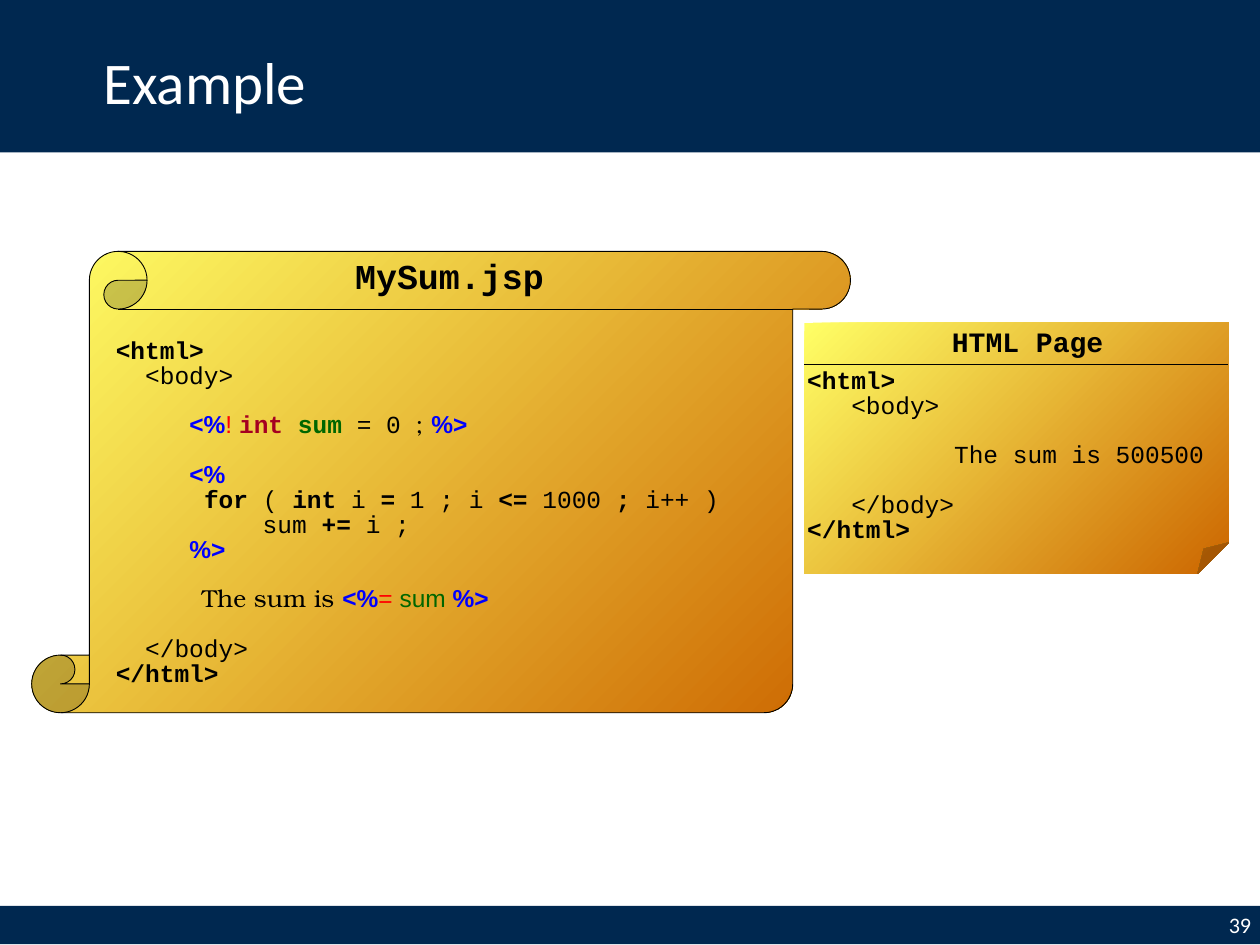
from pptx import Presentation
from pptx.dml.color import RGBColor
from pptx.enum.shapes import MSO_CONNECTOR, MSO_SHAPE
from pptx.enum.text import MSO_ANCHOR, PP_ALIGN
from pptx.oxml.ns import qn
from pptx.util import Cm, Pt
from lxml import etree

RECTANGLE = MSO_SHAPE.RECTANGLE
SCROLL = MSO_SHAPE.VERTICAL_SCROLL
NOTE = MSO_SHAPE.FOLDED_CORNER
STRAIGHT = MSO_CONNECTOR.STRAIGHT
TOP, MIDDLE = MSO_ANCHOR.TOP, MSO_ANCHOR.MIDDLE
LEFT, CENTER, RIGHT = PP_ALIGN.LEFT, PP_ALIGN.CENTER, PP_ALIGN.RIGHT

NAVY = RGBColor(0x00, 0x28, 0x50)
WHITE = RGBColor(0xFF, 0xFF, 0xFF)
BLACK = RGBColor(0x00, 0x00, 0x00)
YELLOW = RGBColor(0xFF, 0xFF, 0x66)
ORANGE = RGBColor(0xCC, 0x66, 0x00)
BLUE = RGBColor(0x00, 0x00, 0xFF)
RED = RGBColor(0xFF, 0x00, 0x00)
CRIMSON = RGBColor(0xA5, 0x00, 0x21)
GREEN = RGBColor(0x00, 0x66, 0x00)

SANS, MONO, SERIF, TITLE = "Arial", "Courier New", "TeX Gyre Bonum", "Calibri"
SLIDE_WIDTH, SLIDE_HEIGHT = 36.12, 27.1
CODE_SIZE = 19.9
CODE_SPACING = 0.85
CODE_GAP = 20  # height of one skipped code line, in points

# Run formats for the code
BOLD = {"bold": True}
TAG = {"font": SANS, "color": BLUE, "bold": True}
MARK = {"font": SANS, "color": RED}
OPEN, CLOSE = ("<%", TAG), ("%>", TAG)

# Code lines: (follows a gap, runs); a run is plain text or (text, format)
JSP_CODE = [
    (False, [("<html>", BOLD)]),
    (False, ["  <body>"]),
    (True, ["     ", OPEN, ("! ", MARK),
            ("int ", {"color": CRIMSON, "bold": True}),
            ("sum ", {"color": GREEN, "bold": True}),
            "= 0 ", ("; ", {"font": SERIF}), CLOSE]),
    (True, ["     ", OPEN]),
    (False, ["      ", ("for ", BOLD), "(", (" int", BOLD), " i ", ("=", BOLD),
             " 1 ; i ", ("<=", BOLD), " 1000 ", (";", BOLD), " i++ )"]),
    (False, ["          sum ", ("+=", BOLD), " i ;"]),
    (False, ["     ", CLOSE]),
    (True, [("           The sum is ", {"font": SERIF}), OPEN, ("= ", MARK),
            ("sum ", {"font": SANS, "color": GREEN}), CLOSE]),
    (True, ["  </body>"]),
    (False, [("</html>", BOLD)]),
]
HTML_CODE = [
    (False, [("<html>", BOLD)]),
    (False, ["   <body>"]),
    (True, ["          The sum is 500500"]),
    (True, ["   </body>"]),
    (False, [("</html>", BOLD)]),
]


def add_run(paragraph, text, font=MONO, size=CODE_SIZE, color=BLACK, bold=False):
    run = paragraph.add_run()
    run.text = text
    run.font.name = font
    run.font.size = Pt(size)
    run.font.color.rgb = color
    run.font.bold = bold


def add_text_box(slide, left, top, width, height, anchor=TOP):
    box = slide.shapes.add_textbox(Cm(left), Cm(top), Cm(width), Cm(height))
    box.text_frame.word_wrap = True
    box.text_frame.vertical_anchor = anchor
    return box.text_frame


def write_line(frame, text, align=LEFT, spacing=1.0, **font_format):
    paragraph = frame.paragraphs[0]
    paragraph.alignment = align
    paragraph.line_spacing = spacing
    add_run(paragraph, text, **font_format)


def add_code(slide, left, top, width, height, lines):
    frame = add_text_box(slide, left, top, width, height)
    for index, (after_gap, runs) in enumerate(lines):
        paragraph = frame.add_paragraph() if index else frame.paragraphs[0]
        paragraph.line_spacing = CODE_SPACING
        if after_gap:
            paragraph.space_before = Pt(CODE_GAP)
        for run in runs:
            text, run_format = (run, {}) if isinstance(run, str) else run
            add_run(paragraph, text, **run_format)


def add_band(slide, top, height):
    band = slide.shapes.add_shape(RECTANGLE, 0, Cm(top), Cm(SLIDE_WIDTH), Cm(height))
    band.shadow.inherit = False
    band.fill.solid()
    band.fill.fore_color.rgb = NAVY
    band.line.fill.background()
    return band.text_frame


def set_curl(paper):
    """Make the curl or fold one eighth of the shorter side."""
    guides = paper._element.spPr.find(qn("a:prstGeom")).find(qn("a:avLst"))
    for guide in list(guides):
        guides.remove(guide)
    etree.SubElement(guides, qn("a:gd"), name="adj", fmla="val 12500")


def add_paper(slide, kind, left, top, width, height, outlined):
    paper = slide.shapes.add_shape(kind, Cm(left), Cm(top), Cm(width), Cm(height))
    paper.shadow.inherit = False
    set_curl(paper)
    paper.fill.gradient()
    paper.fill.gradient_angle = 315
    for stop, color in zip(paper.fill.gradient_stops, (YELLOW, ORANGE)):
        stop.color.rgb = color
    if outlined:
        paper.line.color.rgb = BLACK
        paper.line.width = Pt(0.75)
    else:
        paper.line.fill.background()


def add_rule(slide, left, right, top):
    rule = slide.shapes.add_connector(STRAIGHT, Cm(left), Cm(top), Cm(right), Cm(top))
    rule.line.color.rgb = BLACK
    rule.line.width = Pt(1)
    etree.SubElement(rule._element.spPr, qn("a:effectLst"))


def main():
    presentation = Presentation()
    presentation.slide_width = Cm(SLIDE_WIDTH)
    presentation.slide_height = Cm(SLIDE_HEIGHT)
    slide = presentation.slides.add_slide(presentation.slide_layouts[6])

    # Header and footer bands
    add_band(slide, 0, 4.37)
    footer = add_band(slide, 25.98, 1.1)
    footer.vertical_anchor = MIDDLE
    write_line(footer, "39", align=RIGHT, font=TITLE, size=18, color=WHITE)
    title = add_text_box(slide, 2.72, 0.43, 30.71, 4.01, anchor=MIDDLE)
    write_line(title, "Example", spacing=0.9, font=TITLE, size=48, color=WHITE)

    # JSP source on the scroll
    add_paper(slide, SCROLL, 0.91, 7.21, 23.47, 13.23, outlined=True)
    heading = add_text_box(slide, 9.93, 7.19, 6.32, 1.47)
    write_line(heading, "MySum.jsp", size=28.4, bold=True)
    add_code(slide, 3.07, 9.6, 19.2, 10.41, JSP_CODE)

    # Resulting page on the folded note
    add_paper(slide, NOTE, 23.06, 9.25, 12.17, 7.21, outlined=False)
    add_code(slide, 22.89, 10.46, 12.34, 5.36, HTML_CODE)
    heading = add_text_box(slide, 25.7, 9.17, 7.52, 1.22)
    write_line(heading, "HTML Page", align=CENTER, size=22.8, bold=True)
    add_rule(slide, 23.06, 35.2, 10.46)

    presentation.save("out.pptx")


if __name__ == "__main__":
    main()
